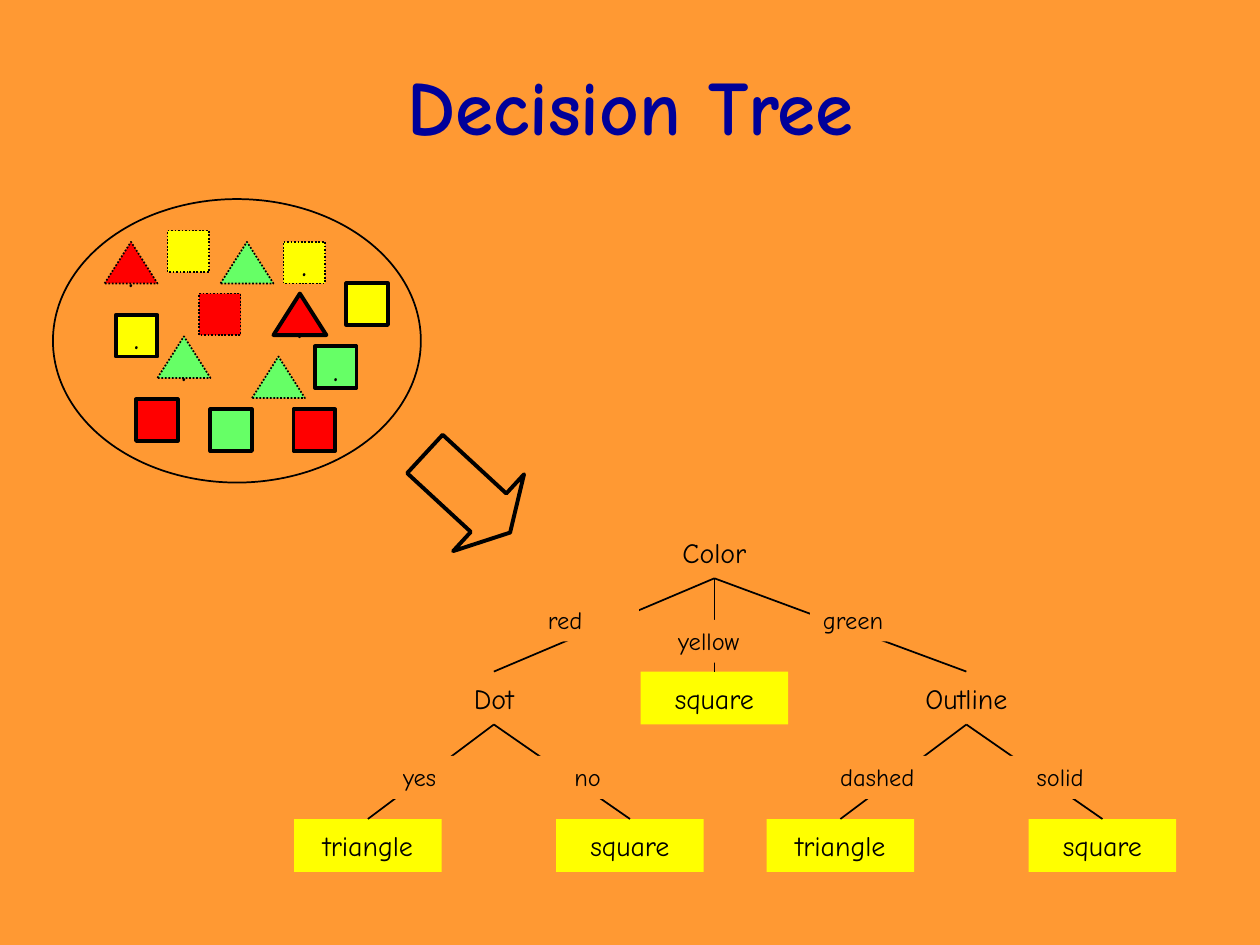
from lxml.etree import SubElement
from pptx import Presentation
from pptx.dml.color import RGBColor
from pptx.enum.dml import MSO_LINE
from pptx.enum.shapes import MSO_CONNECTOR, MSO_SHAPE
from pptx.enum.text import MSO_ANCHOR, PP_ALIGN
from pptx.oxml.ns import qn
from pptx.util import Inches, Pt

THEME = {
    "font": "Comic Neue",
    "orange": "FF9933", "navy": "000099", "black": "000000",
    "yellow": "FFFF00", "red": "FF0000", "green": "66FF66",
    "title": 44, "node": 16, "label": 14, "dot": 20,
    "thin": 1, "thick": 2.25,
}
TITLE = "Decision Tree"
NODE_SIZE = (1.17, 0.42)
LABEL_HEIGHT = 0.34
SAMPLE_HEIGHT = 0.33
SAMPLES = {
    "triangle": (MSO_SHAPE.ISOSCELES_TRIANGLE, 0.42),
    "square": (MSO_SHAPE.RECTANGLE, 0.33),
}

# name: text, center x, top, fill
NODES = {
    "color": ("Color", 5.67, 4.17, "orange"),
    "dot": ("Dot", 3.92, 5.33, "orange"),
    "outline": ("Outline", 7.67, 5.33, "orange"),
    "yellow leaf": ("square", 5.67, 5.33, "yellow"),
    "dot leaf": ("triangle", 2.92, 6.5, "yellow"),
    "plain leaf": ("square", 5, 6.5, "yellow"),
    "dashed leaf": ("triangle", 6.67, 6.5, "yellow"),
    "solid leaf": ("square", 8.75, 6.5, "yellow"),
}
# parent, child, label, left, top, width, alignment
BRANCHES = [
    ("color", "dot", "red", 4.25, 4.75, 0.82, PP_ALIGN.LEFT),
    ("color", "yellow leaf", "yellow", 5.28, 4.92, 0.69, PP_ALIGN.CENTER),
    ("color", "outline", "green", 6.43, 4.75, 0.68, PP_ALIGN.CENTER),
    ("dot", "dot leaf", "yes", 2.92, 6, 0.82, PP_ALIGN.CENTER),
    ("dot", "plain leaf", "no", 4.08, 6, 1.17, PP_ALIGN.CENTER),
    ("outline", "dashed leaf", "dashed", 6.57, 6, 0.92, PP_ALIGN.LEFT),
    ("outline", "solid leaf", "solid", 7.83, 6, 1.17, PP_ALIGN.CENTER),
]
# kind, color, outline, dot, left, top
TRAINING_SET = [
    ("triangle", "red", "solid", ".", 2.17, 2.33),
    ("square", "yellow", "dashed", "", 1.33, 1.83),
    ("triangle", "red", "dashed", ".", 0.83, 1.92),
    ("triangle", "green", "dashed", "", 2, 2.83),
    ("triangle", "green", "dashed", "", 1.75, 1.92),
    ("triangle", "green", "dashed", ".", 1.25, 2.67),
    ("square", "red", "dashed", "", 1.58, 2.33),
    ("square", "yellow", "solid", "", 2.75, 2.25),
    ("square", "yellow", "solid", ".", 0.92, 2.5),
    ("square", "red", "solid", "", 1.08, 3.17),
    ("square", "yellow", "dashed", ".", 2.25, 1.92),
    ("square", "green", "solid", "", 1.67, 3.25),
    ("square", "green", "solid", ".", 2.5, 2.75),
    ("square", "red", "solid", "", 2.33, 3.25),
]


def color(name):
    return RGBColor.from_string(THEME[name])


def write(shape, text, size, ink="black", alignment=PP_ALIGN.CENTER,
          anchor=MSO_ANCHOR.MIDDLE, wrap=False, bold=False):
    frame = shape.text_frame
    frame.text = text
    frame.word_wrap = wrap
    frame.vertical_anchor = anchor
    paragraph = frame.paragraphs[0]
    paragraph.alignment = alignment
    paragraph.font.name = THEME["font"]
    paragraph.font.size = Pt(THEME[size])
    paragraph.font.bold = bold
    paragraph.font.color.rgb = color(ink)


def add_shape(slide, kind, box, fill=None, line=None):
    shape = slide.shapes.add_shape(kind, *map(Inches, box))
    shape.shadow.inherit = False
    if fill:
        shape.fill.solid()
        shape.fill.fore_color.rgb = color(fill)
    else:
        shape.fill.background()
    if line:
        shape.line.color.rgb = color("black")
        shape.line.width = Pt(THEME[line])
    else:
        shape.line.fill.background()
    return shape


def add_title(slide):
    title = slide.shapes.title
    title.left, title.top, title.width, title.height = map(Inches, (0.17, 0, 9.67, 1.25))
    write(title, TITLE, "title", "navy", anchor=MSO_ANCHOR.BOTTOM, wrap=True, bold=True)


def add_tree(slide):
    width, height = NODE_SIZE
    nodes = {}
    for name, (text, center, top, fill) in NODES.items():
        box = (center - width / 2, top, width, height)
        nodes[name] = add_shape(slide, MSO_SHAPE.RECTANGLE, box, fill)
        write(nodes[name], text, "node")
    for parent, child, *_ in BRANCHES:
        connector = slide.shapes.add_connector(MSO_CONNECTOR.STRAIGHT, 0, 0, 0, 0)
        connector.begin_connect(nodes[child], 0)
        connector.end_connect(nodes[parent], 2)
        connector.line.color.rgb = color("black")
        connector.line.width = Pt(THEME["thin"])
        SubElement(connector._element.spPr, qn("a:effectLst"))
    for _, _, text, left, top, label_width, alignment in BRANCHES:
        box = (left, top, label_width, LABEL_HEIGHT)
        label = add_shape(slide, MSO_SHAPE.RECTANGLE, box, "orange")
        write(label, text, "label", alignment=alignment, anchor=MSO_ANCHOR.TOP,
              wrap=alignment == PP_ALIGN.LEFT)


def add_training_set(slide):
    for kind, fill, outline, dot, left, top in TRAINING_SET:
        preset, width = SAMPLES[kind]
        line = "thick" if outline == "solid" else "thin"
        sample = add_shape(slide, preset, (left, top, width, SAMPLE_HEIGHT), fill, line)
        if outline == "dashed":
            sample.line.dash_style = MSO_LINE.ROUND_DOT
        if dot:
            write(sample, dot, "dot")
    add_shape(slide, MSO_SHAPE.OVAL, (0.42, 1.58, 2.92, 2.25), line="thin")
    arrow = add_shape(slide, MSO_SHAPE.RIGHT_ARROW, (3.25, 3.5, 0.92, 0.83), line="thick")
    arrow.adjustments[0] = 0.5
    arrow.adjustments[1] = 0.28
    arrow.rotation = 42.7


def main():
    presentation = Presentation()
    presentation.slide_width, presentation.slide_height = Inches(10), Inches(7.5)
    slide = presentation.slides.add_slide(presentation.slide_layouts[5])
    slide.background.fill.solid()
    slide.background.fill.fore_color.rgb = color("orange")
    add_title(slide)
    add_tree(slide)
    add_training_set(slide)
    presentation.save("out.pptx")


if __name__ == "__main__":
    main()
